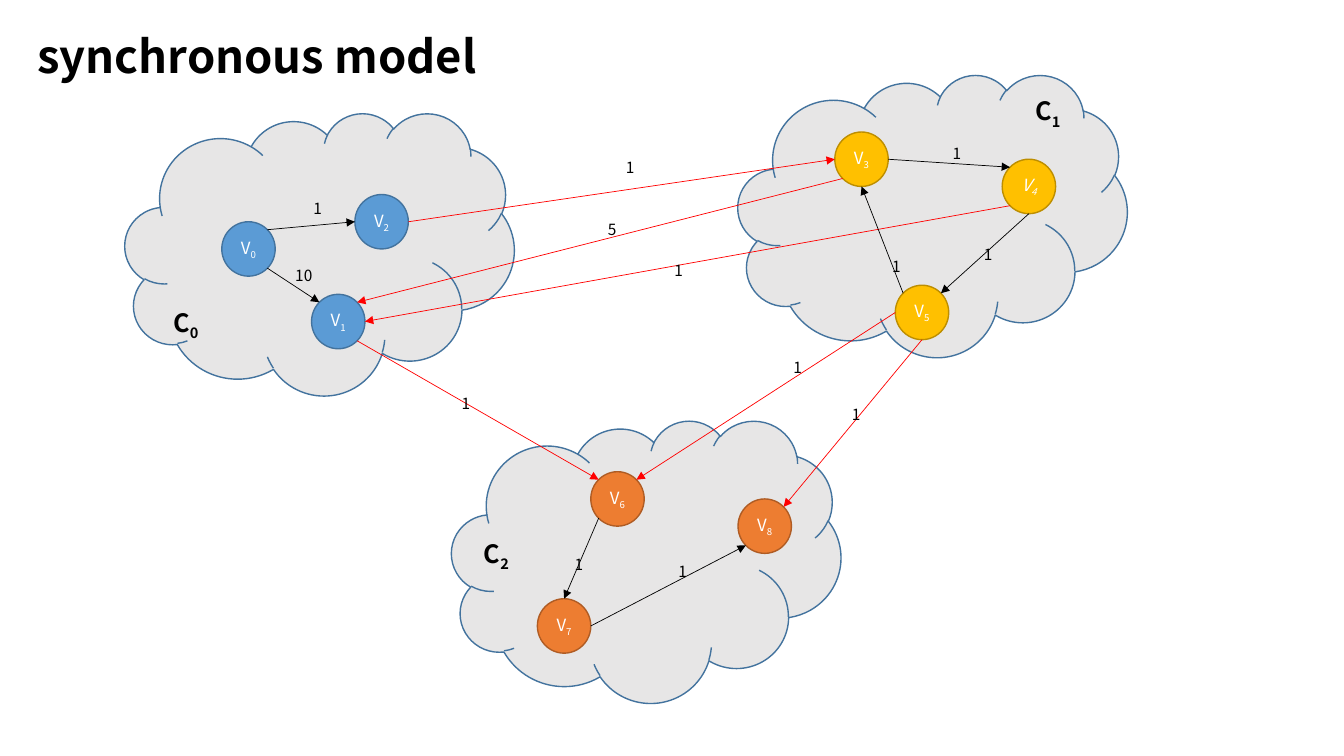
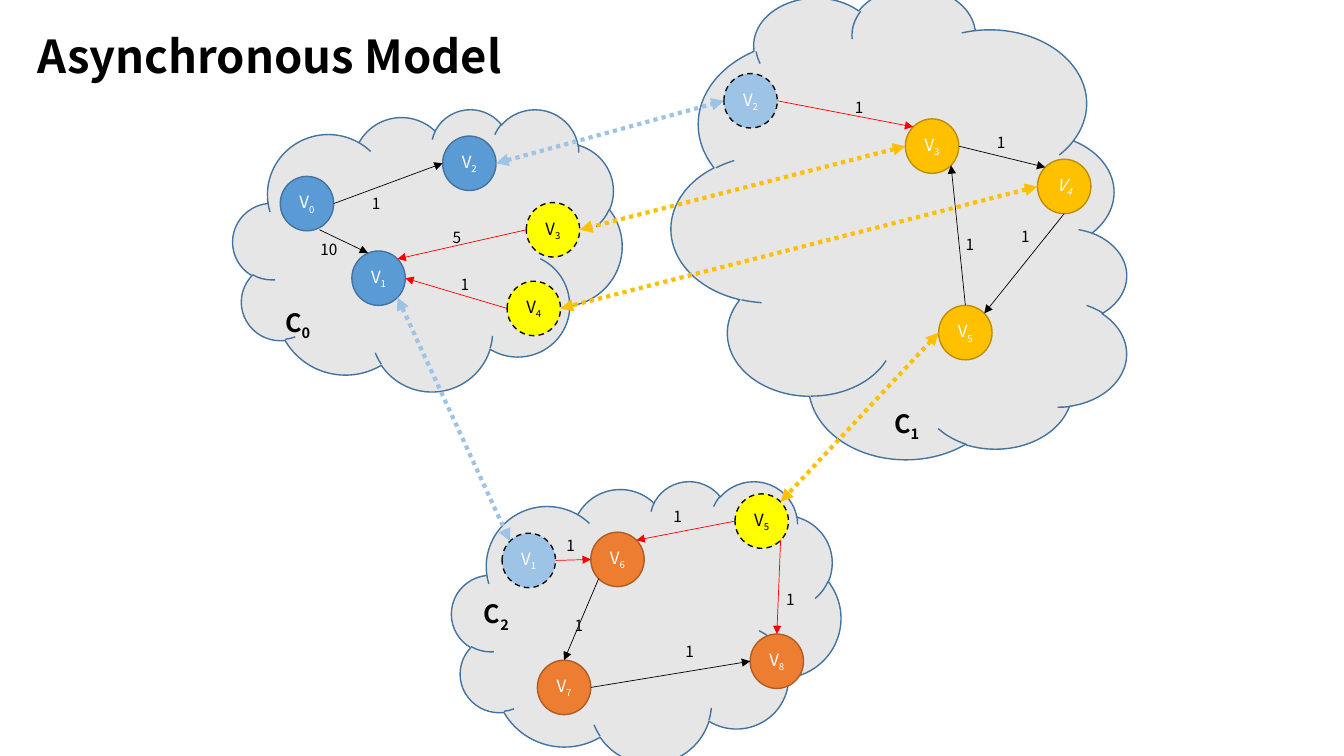
import math

import lxml.etree
import pptx
import pptx.dml.color
import pptx.enum.dml
import pptx.enum.shapes
import pptx.enum.text
import pptx.oxml.ns
import pptx.util

Inches = pptx.util.Inches
Pt = pptx.util.Pt
RGBColor = pptx.dml.color.RGBColor
Dash = pptx.enum.dml.MSO_LINE
Shape = pptx.enum.shapes.MSO_SHAPE
Anchor = pptx.enum.text.MSO_ANCHOR
Align = pptx.enum.text.PP_ALIGN
AutoSize = pptx.enum.text.MSO_AUTO_SIZE
qn = pptx.oxml.ns.qn

# Shared look
FONT = "Noto Sans CJK SC"
BLACK = RGBColor(0x00, 0x00, 0x00)
WHITE = RGBColor(0xFF, 0xFF, 0xFF)
RED = RGBColor(0xFF, 0x00, 0x00)
CLOUD_GREY = RGBColor(0xE7, 0xE6, 0xE6)
BLUE = RGBColor(0x5B, 0x9B, 0xD5)
DARK_BLUE = RGBColor(0x43, 0x73, 0x9E)
LIGHT_BLUE = RGBColor(0x9D, 0xC3, 0xE6)
GOLD = RGBColor(0xFF, 0xC0, 0x00)
DARK_GOLD = RGBColor(0xBD, 0x8E, 0x00)
ORANGE = RGBColor(0xED, 0x7D, 0x31)
DARK_ORANGE = RGBColor(0xAF, 0x5C, 0x24)
YELLOW = RGBColor(0xFF, 0xFF, 0x00)
DASH_BLACK = RGBColor(0x0D, 0x0D, 0x0D)

NODE_WIDTH, NODE_HEIGHT = 0.53, 0.54
CLOUD_SIZE = (3.86, 2.8)
# Connection sites of an ellipse, counter-clockwise in steps of 45 degrees
SITES = ("top", "top left", "left", "bottom left",
         "bottom", "bottom right", "right", "top right")

# Node styles: fill, outline, text colour, dashed outline
STYLES = {
    "blue": (BLUE, DARK_BLUE, WHITE, False),
    "gold": (GOLD, DARK_GOLD, WHITE, False),
    "orange": (ORANGE, DARK_ORANGE, WHITE, False),
    "blue mirror": (LIGHT_BLUE, DASH_BLACK, WHITE, True),
    "gold mirror": (YELLOW, DASH_BLACK, BLACK, True),
}
SYNC_COLORS = {"blue": LIGHT_BLUE, "gold": GOLD}
ITALIC_NODES = {"V4"}

# Content: V nodes are vertices, M nodes are their mirrors in other clusters
SLIDES = [
    {
        "title": "synchronous model",
        "clouds": [(4.48, 4.17, *CLOUD_SIZE, 0), (7.32, 0.74, *CLOUD_SIZE, 0),
                   (1.24, 1.12, *CLOUD_SIZE, 0)],
        "nodes": {
            "blue": {"V2": (3.52, 1.93), "V0": (2.2, 2.2), "V1": (3.09, 2.92)},
            "gold": {"V4": (9.94, 1.58), "V3": (8.28, 1.31), "V5": (8.88, 2.83)},
            "orange": {"V8": (7.32, 4.95), "V7": (5.33, 5.94), "V6": (5.86, 4.68)},
        },
        "edges": [
            ("V0", "top right", "V2", "left"),
            ("V0", "bottom right", "V1", "top left"),
            ("V2", "right", "V3", "left"),
            ("V1", "bottom right", "V6", "top left"),
            ("V3", "bottom left", "V1", "top right"),
            ("V4", "bottom left", "V1", "right"),
            ("V3", "right", "V4", "top left"),
            ("V4", "bottom", "V5", "top right"),
            ("V5", "top left", "V3", "bottom"),
            ("V5", "left", "V6", "top right"),
            ("V5", "bottom", "V8", "top right"),
            ("V7", "right", "V8", "bottom left"),
            ("V6", "bottom left", "V7", "top"),
        ],
        "free_edges": [],
        "sync_links": [],
        "weights": [
            ("1", 3.01, 1.93), ("10", 2.83, 2.59), ("1", 6.11, 1.52),
            ("1", 6.59, 2.54), ("5", 5.93, 2.13), ("1", 9.35, 1.38),
            ("1", 9.66, 2.38), ("1", 8.75, 2.5), ("1", 7.77, 3.5),
            ("1", 8.35, 3.97), ("1", 6.63, 5.53), ("1", 5.6, 5.46),
            ("1", 4.48, 3.86),
        ],
        "clusters": [("C0", 1.62, 3), ("C2", 4.7, 5.29), ("C1", 10.17, 0.9)],
    },
    {
        "title": "Asynchronous Model",
        "clouds": [(4.48, 4.77, *CLOUD_SIZE, 0), (6.59, -0.04, 4.68, 4.52, 90),
                   (2.31, 1.08, *CLOUD_SIZE, 0)],
        "nodes": {
            "blue": {"V2": (4.39, 1.35), "V0": (2.78, 1.75), "V1": (3.49, 2.49)},
            "gold": {"V4": (10.29, 1.58), "V3": (8.98, 1.18), "V5": (9.31, 3.03)},
            "orange": {"V8": (7.44, 6.29), "V7": (5.33, 6.55), "V6": (5.86, 5.28)},
            "blue mirror": {"M2": (7.18, 0.73), "M1": (4.98, 5.29)},
            "gold mirror": {"M3": (5.22, 2.01), "M4": (5.03, 2.79), "M5": (7.29, 4.9)},
        },
        "edges": [
            ("V0", "right", "V2", "left"),
            ("M2", "right", "V3", "top left"),
            ("M1", "right", "V6", "left"),
            ("M3", "left", "V1", "top right"),
            ("M4", "left", "V1", "right"),
            ("V3", "right", "V4", "top left"),
            ("V4", "bottom", "V5", "top right"),
            ("V5", "top", "V3", "bottom right"),
            ("M5", "left", "V6", "top right"),
            ("M5", "bottom right", "V8", "top"),
            ("V7", "right", "V8", "left"),
            ("V6", "bottom left", "V7", "top"),
        ],
        "free_edges": [((3.17, 2.28), (3.65, 2.51))],
        "sync_links": [
            ("V3", "left", "M3", "right"),
            ("V4", "left", "M4", "right"),
            ("V1", "bottom right", "M1", "top left"),
            ("V2", "right", "M2", "left"),
            ("V5", "left", "M5", "top right"),
        ],
        "weights": [
            ("1", 3.59, 1.88), ("10", 3.08, 2.33), ("1", 4.47, 2.68),
            ("5", 4.39, 2.21), ("1", 9.79, 1.27), ("1", 9.48, 2.28),
            ("1", 10.03, 2.2), ("1", 8.38, 0.92), ("1", 6.58, 4.98),
            ("1", 6.7, 6.32), ("1", 5.6, 6.06), ("1", 5.52, 5.27),
            ("1", 7.7, 5.81),
        ],
        "clusters": [("C0", 2.73, 3), ("C2", 4.7, 5.89), ("C1", 8.77, 4)],
    },
]


def set_font(paragraph, size, color, bold=False, italic=False):
    font = paragraph.font
    font.name, font.size, font.bold, font.italic = FONT, Pt(size), bold, italic
    font.color.rgb = color


def write_indexed(paragraph, letter, index):
    """Write a letter followed by a subscript index."""
    paragraph.add_run().text = letter
    subscript = paragraph.add_run()
    subscript.text = index
    subscript.font._element.set("baseline", "-25000")


def add_outlined(slide, preset, left, top, width, height, fill, outline):
    shape = slide.shapes.add_shape(
        preset, Inches(left), Inches(top), Inches(width), Inches(height))
    shape.shadow.inherit = False
    shape.fill.solid()
    shape.fill.fore_color.rgb = fill
    shape.line.color.rgb = outline
    shape.line.width = Pt(1)
    return shape


def add_node(slide, name, position, style):
    fill, outline, text_color, dashed = STYLES[style]
    node = add_outlined(slide, Shape.OVAL, *position, NODE_WIDTH, NODE_HEIGHT,
                        fill, outline)
    if dashed:
        node.line.dash_style = Dash.DASH
    frame = node.text_frame
    frame.margin_left = frame.margin_right = 0
    frame.vertical_anchor = Anchor.MIDDLE
    paragraph = frame.paragraphs[0]
    paragraph.alignment = Align.CENTER
    write_indexed(paragraph, "V", name[1])
    set_font(paragraph, 12, text_color, italic=name in ITALIC_NODES)
    return node


def add_arrow(slide, start, end, color, width=0.5, both_ends=False):
    arrow = slide.shapes.add_connector(
        pptx.enum.shapes.MSO_CONNECTOR.STRAIGHT,
        *(Inches(value) for value in (*start, *end)))
    arrow.line.color.rgb = color
    arrow.line.width = Pt(width)
    if both_ends:
        arrow.line.dash_style = Dash.ROUND_DOT
    line = arrow.line._get_or_add_ln()
    for tag in ("a:headEnd", "a:tailEnd") if both_ends else ("a:tailEnd",):
        lxml.etree.SubElement(line, qn(tag), type="triangle")
    lxml.etree.SubElement(arrow._element.spPr, qn("a:effectLst"))
    return arrow


def site_point(position, site):
    angle = math.radians(45 * SITES.index(site))
    return (position[0] + NODE_WIDTH / 2 * (1 - math.sin(angle)),
            position[1] + NODE_HEIGHT / 2 * (1 - math.cos(angle)))


def link_nodes(slide, nodes, positions, link, color, **look):
    """Draw an arrow and join it to the ellipse sites at both ends."""
    source, source_site, target, target_site = link
    arrow = add_arrow(slide, site_point(positions[source], source_site),
                      site_point(positions[target], target_site), color, **look)
    joints = arrow._element.find(".//" + qn("p:cNvCxnSpPr"))
    for tag, name, site in (("a:stCxn", source, source_site),
                            ("a:endCxn", target, target_site)):
        lxml.etree.SubElement(joints, qn(tag), id=str(nodes[name].shape_id),
                              idx=str(SITES.index(site)))


def add_label(slide, left, top, width, height):
    box = slide.shapes.add_textbox(
        Inches(left), Inches(top), Inches(width), Inches(height))
    frame = box.text_frame
    frame.word_wrap = True
    frame.auto_size = AutoSize.SHAPE_TO_FIT_TEXT
    return frame.paragraphs[0]


def add_title(slide, text):
    title = slide.shapes.title
    title.left, title.top = Inches(0.27), Inches(-0.01)
    title.width, title.height = Inches(11.5), Inches(0.88)
    frame = title.text_frame
    frame.text = text
    frame.word_wrap = True
    frame.auto_size = AutoSize.NONE
    frame.vertical_anchor = Anchor.BOTTOM
    paragraph = frame.paragraphs[0]
    paragraph.alignment = Align.LEFT
    paragraph.line_spacing = 1.4
    set_font(paragraph, 32.4, BLACK, bold=True)


def build_slide(presentation, content):
    slide = presentation.slides.add_slide(presentation.slide_layouts[5])
    add_title(slide, content["title"])

    # Clusters and their nodes
    for left, top, width, height, rotation in content["clouds"]:
        cloud = add_outlined(slide, Shape.CLOUD, left, top, width, height,
                             CLOUD_GREY, DARK_BLUE)
        cloud.rotation = rotation
    nodes, positions, styles = {}, {}, {}
    for style, members in content["nodes"].items():
        for name, position in members.items():
            nodes[name] = add_node(slide, name, position, style)
            positions[name], styles[name] = position, style

    # Edges: red where the two ends belong to different clusters
    for edge in content["edges"]:
        color = BLACK if styles[edge[0]] == styles[edge[2]] else RED
        link_nodes(slide, nodes, positions, edge, color)
    for start, end in content["free_edges"]:
        add_arrow(slide, start, end, BLACK)
    for link in content["sync_links"]:
        link_nodes(slide, nodes, positions, link, SYNC_COLORS[styles[link[0]]],
                   width=3, both_ends=True)

    # Edge weights and cluster names
    for weight, left, top in content["weights"]:
        paragraph = add_label(slide, left, top, 0.5, 0.29)
        paragraph.text = weight
        set_font(paragraph, 11, BLACK)
    for name, left, top in content["clusters"]:
        paragraph = add_label(slide, left, top, 0.58, 0.4)
        write_indexed(paragraph, *name)
        set_font(paragraph, 18, BLACK, bold=True)


def main():
    presentation = pptx.Presentation()
    presentation.slide_width = Inches(13.33)
    presentation.slide_height = Inches(7.5)
    for content in SLIDES:
        build_slide(presentation, content)
    presentation.save("out.pptx")


if __name__ == "__main__":
    main()
